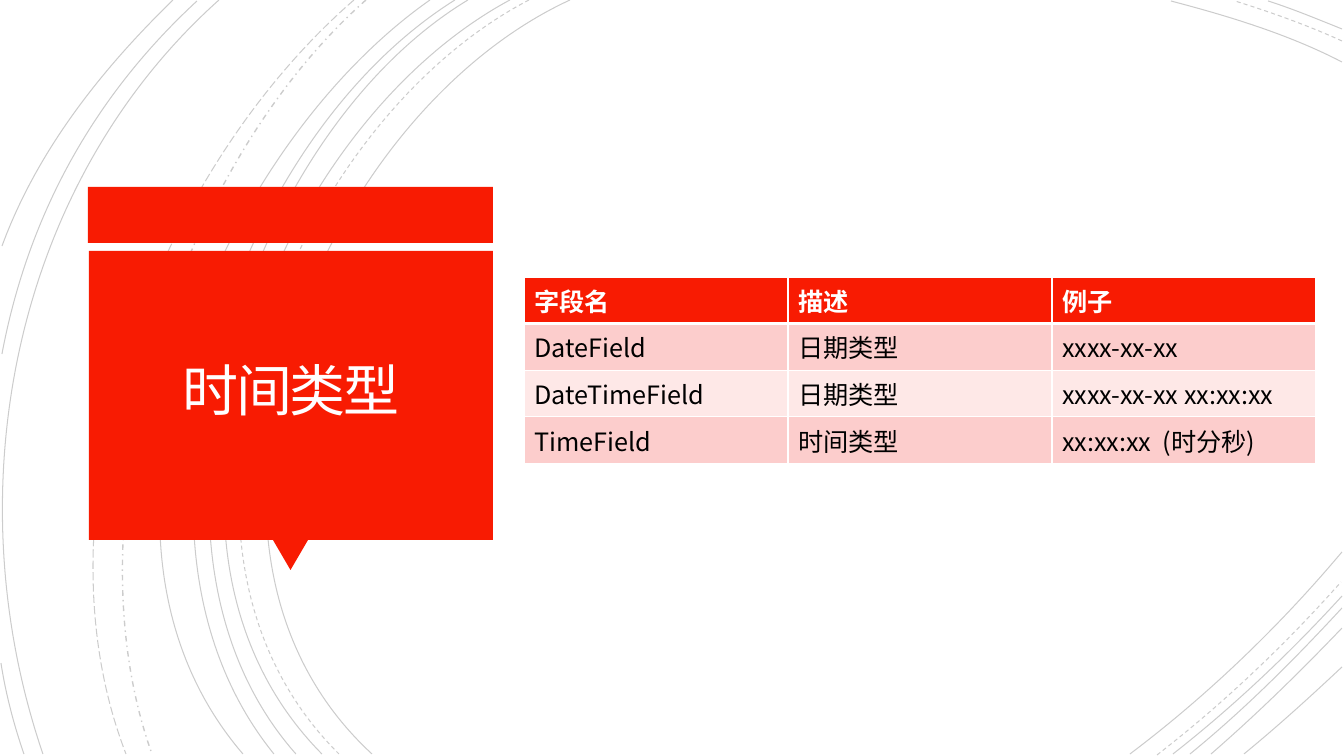
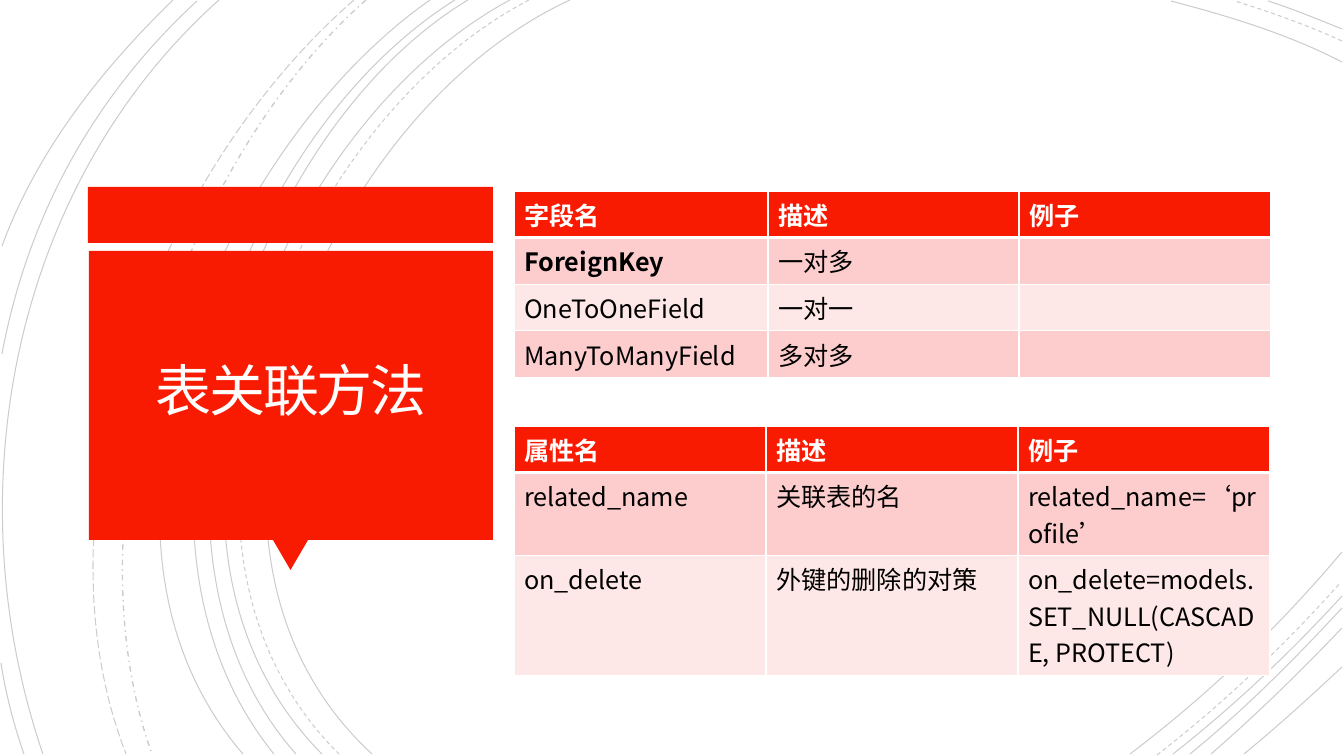
from lxml.etree import SubElement
from pptx import Presentation
from pptx.dml.color import RGBColor
from pptx.enum.dml import MSO_LINE
from pptx.enum.shapes import MSO_SHAPE
from pptx.enum.text import MSO_ANCHOR, PP_ALIGN
from pptx.oxml.ns import qn
from pptx.util import Pt

SCALE = 914400 / 100.8
FONT = "Noto Sans CJK SC"
RED = RGBColor(0xF8, 0x1B, 0x02)
ROSE = RGBColor(0xFC, 0xCD, 0xCC)
BLUSH = RGBColor(0xFE, 0xE8, 0xE7)
WHITE = RGBColor(0xFF, 0xFF, 0xFF)
CREAM = RGBColor(0xFF, 0xFE, 0xFF)
BLACK = RGBColor(0, 0, 0)

ARCS = {
    (MSO_LINE.SOLID, 0.75): [
        [(570, 0), (318, 116), (144, 544), (372, 754)],
        [(510, 0), (272, 128), (111, 541), (322, 754)],
        [(468, 0), (246, 134), (111, 545), (296, 754)],
        [(455, 0), (233, 139), (98, 537), (274, 754)],
        [(430, 0), (219, 148), (53, 533), (243, 754)],
        [(219, 0), (11, 186), (-46, 494), (43, 754)],
        [(197, 1), (93, 97), (28, 216), (2, 354)],
        [(1, 663), (6, 695), (14, 725), (24, 754)],
        [(173, 0), (101, 70), (37, 151), (2, 246)],
        [(1342, 62), (1288, 34), (1228, 16), (1171, 1)],
        [(1342, 29), (1317, 19), (1293, 9), (1268, 1)],
        [(1130, 754), (1207, 696), (1279, 627), (1342, 552)],
        [(1173, 754), (1233, 707), (1290, 653), (1342, 596)],
        [(1190, 754), (1244, 710), (1294, 660), (1342, 608)],
        [(1211, 754), (1256, 715), (1300, 672), (1342, 628)],
        [(1244, 754), (1277, 727), (1309, 698), (1342, 667)],
    ],
    (MSO_LINE.DASH, 0.75): [
        [(529, 0), (287, 126), (124, 541), (339, 754)],
        [(1342, 41), (1307, 25), (1270, 12), (1235, 1)],
        [(1157, 755), (1223, 704), (1285, 645), (1341, 582)],
    ],
    (MSO_LINE.DASH_DOT, 1): [[(366, 0), (177, 167), (66, 513), (152, 754)]],
    (MSO_LINE.LONG_DASH, 0.75): [[(354, 0), (158, 170), (29, 503), (126, 754)]],
}


def px(num):
    """Turn pixels into EMU."""
    return round(num * SCALE)


def put(item, **vals):
    """Set each named value on the item."""
    for key, val in vals.items():
        setattr(item, key, val)


def place(item, box):
    """Move the item to a pixel box."""
    put(item, **dict(zip(("left", "top", "width", "height"), map(px, box))))


class Deck:
    """Holds the style and the current slide."""

    def __init__(self):
        """Start a wide deck."""
        self.show = Presentation()
        put(self.show, slide_width=px(1344), slide_height=px(756))
        self.base = self.show.slide_layouts[5]
        self.page = None

    def add(self, title):
        """Start a slide with its title."""
        self.page = self.show.slides.add_slide(self.base)
        head = self.page.shapes.title
        place(head, (98, 259, 386, 271))
        sides = ("left", "top", "right", "bottom")
        put(head.text_frame, word_wrap=True, vertical_anchor=MSO_ANCHOR.MIDDLE,
            **{f"margin_{side}": px(25) for side in sides})
        para = head.text_frame.paragraphs[0]
        put(para, alignment=PP_ALIGN.CENTER, line_spacing=0.85)
        self.label(para, title, size=Pt(40), color=CREAM).set("spc", "-150")

    def label(self, para, text, color, **vals):
        """Add a styled run and return its properties."""
        run = para.add_run()
        run.text = text
        put(run.font, name=FONT, **vals)
        run.font.color.rgb = color
        props = run.font._element
        props.set("lang", "zh-CN")
        SubElement(props, qn("a:ea"), typeface=FONT)
        return props

    def arc(self, spots, dash, width):
        """Draw one faint curve through four control points."""
        pen = self.page.shapes.build_freeform(*spots[0], scale=SCALE)
        pen.add_line_segments(spots[1:], close=False)
        shape = pen.convert_to_shape()
        track = shape.element.find(".//" + qn("a:path"))
        legs = track.findall(qn("a:lnTo"))
        curve = SubElement(track, qn("a:cubicBezTo"))
        for leg in legs:
            curve.append(leg[0])
            track.remove(leg)
        shape.shadow.inherit = False
        shape.fill.background()
        shape.line.color.rgb = BLACK
        put(shape.line, dash_style=dash, width=Pt(width))
        tint = shape.element.find(".//" + qn("a:ln")).find(".//" + qn("a:srgbClr"))
        SubElement(tint, qn("a:alpha"), val="20000")

    def block(self, kind, box, turn=0):
        """Draw a plain red shape."""
        shape = self.page.shapes.add_shape(kind, *map(px, box))
        shape.rotation = turn
        shape.shadow.inherit = False
        shape.fill.solid()
        shape.fill.fore_color.rgb = RED
        shape.line.fill.background()

    def scene(self):
        """Draw the shared art and hand it to the layout."""
        for (dash, width), group in ARCS.items():
            for spots in group:
                self.arc(spots, dash, width)
        self.block(MSO_SHAPE.RECTANGLE, (88, 187, 405, 56))
        self.block(MSO_SHAPE.ISOSCELES_TRIANGLE, (273, 540, 35, 30), 180)
        self.block(MSO_SHAPE.RECTANGLE, (89, 251, 404, 289))
        for shape in list(self.page.shapes):
            if not shape.is_placeholder:
                self.base.shapes.element.append(shape.element)

    def edge(self, cell, row):
        """Draw white borders, thick below the header."""
        props = cell._tc.get_or_add_tcPr()
        for side in "LRTB":
            wide = (side, row) in (("B", 0), ("T", 1))
            line = SubElement(props, qn(f"a:ln{side}"), w=str(Pt(3 if wide else 1)))
            fill = SubElement(line, qn("a:solidFill"))
            SubElement(fill, qn("a:srgbClr"), val=str(WHITE))

    def table(self, left, top, cols, rows, strong=()):
        """Draw a banded table with a red header."""
        box = map(px, (left, top, sum(cols), 41 * len(rows)))
        grid = self.page.shapes.add_table(len(rows), len(cols), *box).table
        for col, width in zip(grid.columns, cols):
            col.width = px(width)
        for i, row in enumerate(rows):
            for j, text in enumerate(row):
                cell = grid.cell(i, j)
                self.edge(cell, i)
                cell.fill.solid()
                cell.fill.fore_color.rgb = (BLUSH, ROSE)[i % 2] if i else RED
                para = cell.text_frame.paragraphs[0]
                para.font.size = Pt(18)
                if text:
                    self.label(para, text, BLACK if i else WHITE,
                               size=Pt(18), bold=i == 0 or text in strong)


deck = Deck()
deck.add("时间类型")
deck.scene()
deck.table(524, 277, [264] * 3, [
    ("字段名", "描述", "例子"),
    ("DateField", "日期类型", "xxxx-xx-xx"),
    ("DateTimeField", "日期类型", "xxxx-xx-xx xx:xx:xx"),
    ("TimeField", "时间类型", "xx:xx:xx  (时分秒)"),
])

deck.add("表关联方法")
deck.table(514, 191, [254, 251, 252], [
    ("字段名", "描述", "例子"),
    ("ForeignKey", "一对多", ""),
    ("OneToOneField", "一对一", ""),
    ("ManyToManyField", "多对多", ""),
], strong=("ForeignKey",))
deck.table(514, 426, [252] * 3, [
    ("属性名", "描述", "例子"),
    ("related_name", "关联表的名", "related_name=‘profile’"),
    ("on_delete", "外键的删除的对策", "on_delete=models. SET_NULL(CASCADE, PROTECT)"),
])
deck.show.save("out.pptx")
